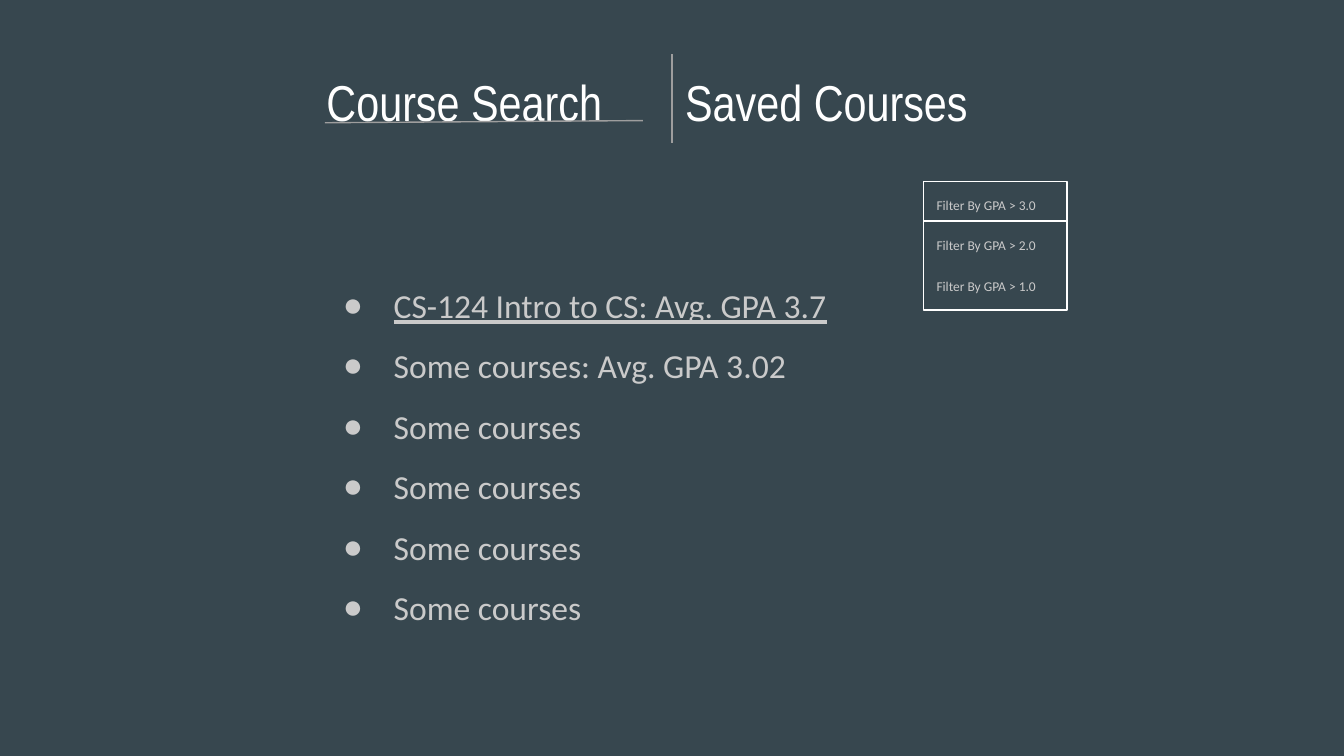
from dataclasses import dataclass
from typing import Any, NamedTuple

from lxml.etree import SubElement
from pptx import Presentation
from pptx.dml.color import RGBColor
from pptx.enum.shapes import MSO_CONNECTOR as Connector, MSO_SHAPE as Shape
from pptx.enum.text import MSO_ANCHOR as Anchor, MSO_AUTO_SIZE as AutoSize, PP_ALIGN as Align
from pptx.oxml.ns import qn
from pptx.util import Cm, Pt


@dataclass(frozen=True)
class Theme:
    """Colours, fonts and type sizes of the slide."""
    back: RGBColor = RGBColor(0x37, 0x47, 0x4F)
    white: RGBColor = RGBColor(0xFF, 0xFF, 0xFF)
    text: RGBColor = RGBColor(0xCA, 0xCA, 0xCA)
    rule: RGBColor = RGBColor(0x9E, 0x9E, 0x9E)
    head_font: str = "Arial Narrow"
    body_font: str = "Calibri"
    head: float = 27
    body: float = 18
    filter: float = 7.2
    line: float = 0.75


class Box(NamedTuple):
    """Left, top, width and height in centimetres."""
    left: float
    top: float
    width: float
    height: float

    def lengths(self) -> list[Cm]:
        """Return the four values as lengths."""
        return [Cm(v) for v in self]


class Rule(NamedTuple):
    """Start and end of a line in centimetres."""
    x1: float
    y1: float
    x2: float
    y2: float


class FilterBox(NamedTuple):
    """An outlined box with filter options."""
    box: Box
    options: list[str]


THEME = Theme()
SEARCH = Box(5.92, 1.09, 6.78, 1.5)
SAVED = Box(12.7, 1.09, 7.95, 1.5)
COURSES = Box(5.92, 4.75, 11.91, 7.95)
RULES = [Rule(12.7, 1.03, 12.7, 2.71), Rule(6.14, 2.32, 12.15, 2.28)]
FILTERS = [
    FilterBox(Box(17.45, 3.43, 2.72, 0.75), ["Filter By GPA > 3.0"]),
    FilterBox(Box(17.45, 4.18, 2.72, 1.68), ["Filter By GPA > 2.0", "Filter By GPA > 1.0"]),
]
COURSE_LIST = ["CS-124 Intro to CS: Avg. GPA 3.7", "Some courses: Avg. GPA 3.02"] + ["Some courses"] * 4


def place(s: Any, box: Box) -> None:
    """Move and size a shape, and set up its text frame."""
    s.left, s.top, s.width, s.height = box.lengths()
    tf = s.text_frame
    tf.word_wrap = True
    tf.auto_size = AutoSize.NONE
    tf.vertical_anchor = Anchor.TOP
    tf.margin_left = tf.margin_right = tf.margin_top = tf.margin_bottom = Cm(0.25)


def add_bullet(p: Any) -> None:
    """Give a paragraph a hanging round bullet."""
    pPr = p._p.get_or_add_pPr()
    pPr.set("marL", str(Cm(1.27)))
    pPr.set("indent", str(Cm(-0.96)))
    color = SubElement(SubElement(pPr, qn("a:buClr")), qn("a:srgbClr"))
    color.set("val", str(THEME.text))
    SubElement(pPr, qn("a:buChar")).set("char", "●")


def write(s: Any, lines: list[str], *, font: str = THEME.body_font, size: float = THEME.body,
          color: RGBColor = THEME.text, spacing: float = 1.0, before: float = 0,
          after: float = 0, bullets: bool = False, underline_first: bool = False) -> None:
    """Write one paragraph per line in a shared format."""
    tf = s.text_frame
    for i, line in enumerate(lines):
        p = tf.add_paragraph() if i else tf.paragraphs[0]
        if bullets:
            add_bullet(p)
        p.alignment = Align.LEFT
        p.line_spacing = spacing
        p.space_before = Pt(before if i else 0)
        p.space_after = Pt(after if i == len(lines) - 1 else 0)
        r = p.add_run()
        r.text = line
        r.font.name, r.font.size = font, Pt(size)
        r.font.color.rgb = color
        if underline_first and i == 0:
            r.font.underline = True


def draw_heading(s: Any, box: Box, text: str) -> None:
    """Place one of the two tab headings."""
    place(s, box)
    write(s, [text], font=THEME.head_font, size=THEME.head, color=THEME.white)


def draw_rule(slide: Any, rule: Rule) -> None:
    """Draw a thin grey line without a shadow."""
    s = slide.shapes.add_connector(Connector.STRAIGHT, *(Cm(v) for v in rule))
    s.line.color.rgb = THEME.rule
    s.line.width = Pt(THEME.line)
    SubElement(s._element.spPr, qn("a:effectLst"))


def draw_filter(slide: Any, item: FilterBox) -> None:
    """Draw an outlined filter box with its options."""
    s = slide.shapes.add_shape(Shape.RECTANGLE, *item.box.lengths())
    s.shadow.inherit = False
    s.fill.background()
    s.line.color.rgb = THEME.white
    s.line.width = Pt(THEME.line)
    place(s, item.box)
    write(s, item.options, size=THEME.filter, spacing=1.15, before=12, after=12)


def main() -> None:
    """Build and save the slide."""
    prs = Presentation()
    prs.slide_width, prs.slide_height = Cm(25.4), Cm(14.29)
    slide = prs.slides.add_slide(prs.slide_layouts[1])
    slide.background.fill.solid()
    slide.background.fill.fore_color.rgb = THEME.back

    draw_heading(slide.shapes.title, SEARCH, "Course Search")
    draw_heading(slide.shapes.add_textbox(*SAVED.lengths()), SAVED, "Saved Courses")
    for rule in RULES:
        draw_rule(slide, rule)

    body = slide.placeholders[1]
    place(body, COURSES)
    write(body, COURSE_LIST, spacing=1.5, bullets=True, underline_first=True)
    for item in FILTERS:
        draw_filter(slide, item)
    prs.save("out.pptx")


if __name__ == "__main__":
    main()
